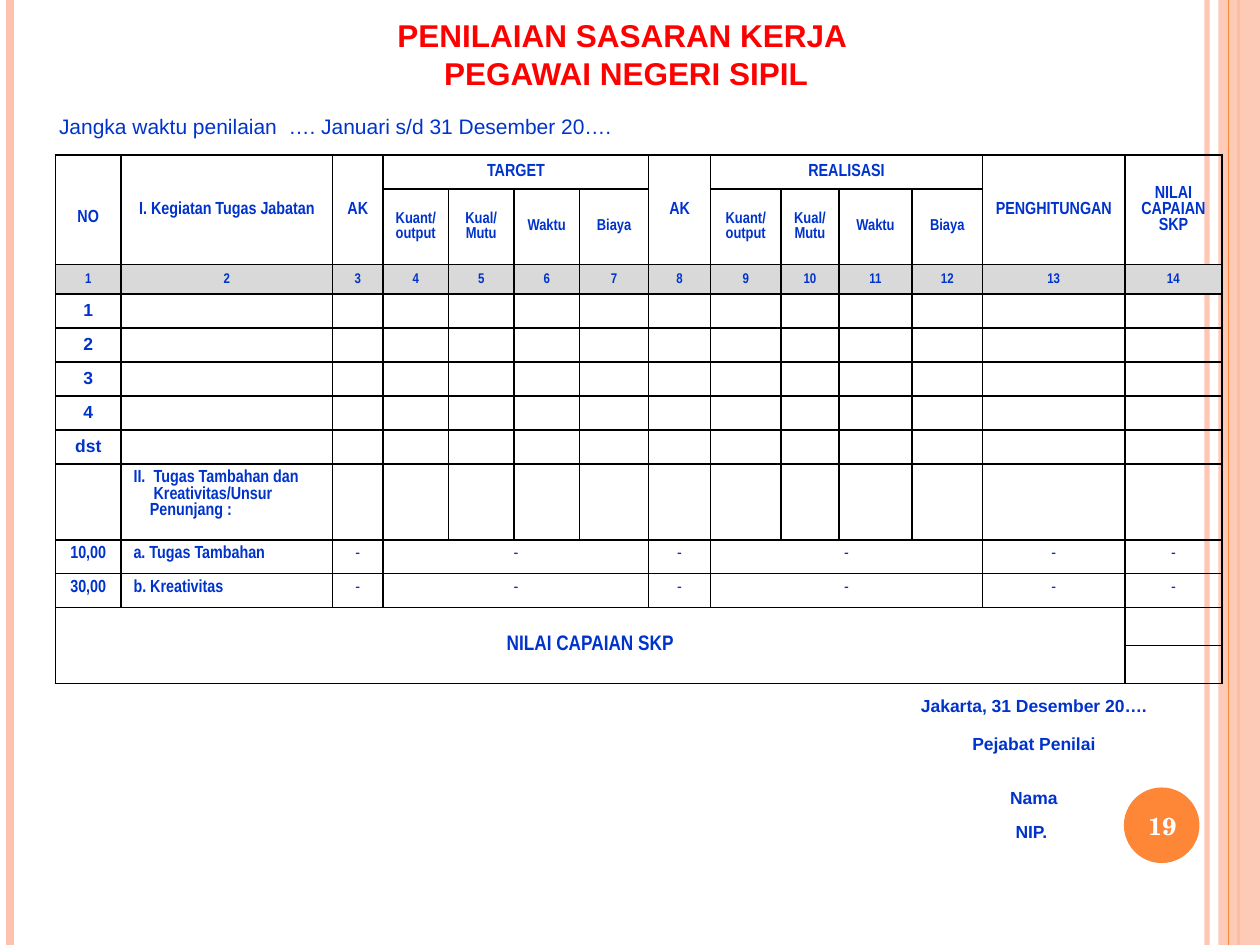
import dataclasses

import lxml.etree
import pptx
import pptx.dml.color
import pptx.enum.shapes
import pptx.enum.text
import pptx.oxml.ns
import pptx.util

ALIGN = pptx.enum.text.PP_ALIGN
MIDDLE = pptx.enum.text.MSO_ANCHOR.MIDDLE
TOP = pptx.enum.text.MSO_ANCHOR.TOP
SHAPE = pptx.enum.shapes.MSO_SHAPE
GRID_COLUMNS, GRID_ROWS = 100, 75
PLAIN_TABLE = "{2D5ABB26-0587-4C30-8999-92F81FD0307C}"


@dataclasses.dataclass(frozen=True)
class Theme:
    """Colours, fonts and type sizes of the slide."""
    blue: str = "0033CC"
    red: str = "FF0000"
    orange: str = "FE8637"
    peach: str = "FEC3AE"
    gray: str = "D9D9D9"
    white: str = "FFFFFF"
    black: str = "000000"
    sans: str = "Arial"
    narrow: str = "Arial Narrow"
    serif: str = "TeX Gyre Schola"
    title: int = 18
    page: int = 14
    large: int = 12
    body: int = 10
    label: int = 9
    number: int = 8


THEME = Theme()


def grid(units):
    """Turn grid units, ten to the inch, into a length."""
    return pptx.util.Inches(units / 10)


def rgb(color):
    """Turn a hex string into a colour."""
    return pptx.dml.color.RGBColor.from_string(color)


def add_node(parent, tag, **attributes):
    """Append a drawing element with attributes."""
    return lxml.etree.SubElement(parent, pptx.oxml.ns.qn(tag), **attributes)


def paint(fill, color, opacity=100):
    """Fill with one colour at an opacity in percent."""
    fill.solid()
    fill.fore_color.rgb = rgb(color)
    if opacity < 100:
        choice = fill._xPr.find(".//" + pptx.oxml.ns.qn("a:srgbClr"))
        add_node(choice, "a:alpha", val=str(opacity * 1000))


def write(frame, text, font=THEME.sans, size=THEME.body, color=THEME.blue, bold=True,
          align=ALIGN.CENTER, hanging=None, indents=()):
    """Write one paragraph for each line of text."""
    for index, line in enumerate(text.split("\n")):
        paragraph = frame.paragraphs[0] if index == 0 else frame.add_paragraph()
        paragraph.alignment = align
        if indents:
            properties = paragraph._p.get_or_add_pPr()
            properties.set("marL", str(grid(indents[index])))
            properties.set("indent", str(-grid(indents[index]) if index == hanging else 0))
        run = paragraph.add_run()
        run.text = line
        run.font.name, run.font.size, run.font.bold = font, pptx.util.Pt(size), bold
        run.font.color.rgb = rgb(color)


def add_stripe(slide, column, color, width, opacity=100):
    """Draw a line down the whole slide."""
    line = slide.shapes.add_connector(pptx.enum.shapes.MSO_CONNECTOR.STRAIGHT,
                                      grid(column), 0, grid(column), grid(GRID_ROWS))
    line.line.width = pptx.util.Pt(width)
    paint(line.line.fill, color, opacity)
    add_node(line._element.spPr, "a:effectLst")


def add_block(slide, kind, box, color, opacity=100):
    """Draw a filled shape without outline."""
    shape = slide.shapes.add_shape(kind, *map(grid, box))
    shape.shadow.inherit = False
    shape.line.fill.background()
    paint(shape.fill, color, opacity)


def add_text(slide, box, text, wrap=True, anchor=TOP, **form):
    """Place a text box."""
    frame = slide.shapes.add_textbox(*map(grid, box)).text_frame
    frame.word_wrap = wrap
    frame.vertical_anchor = anchor
    write(frame, text, **form)


def add_border(cell):
    """Draw a thin black line on the four sides of a cell."""
    for side in "LRTB":
        line = add_node(cell._tc.get_or_add_tcPr(), "a:ln" + side, w=str(pptx.util.Pt(1)))
        add_node(add_node(line, "a:solidFill"), "a:srgbClr", val=THEME.black)


def add_table(slide, left, top, widths, heights, bordered=False):
    """Add a plain table whose empty cells keep the body size."""
    table = slide.shapes.add_table(len(heights), len(widths), grid(left), grid(top),
                                   grid(sum(widths)), grid(sum(heights))).table
    table.first_row = table.horz_banding = False
    table._tbl.tblPr.find(pptx.oxml.ns.qn("a:tableStyleId")).text = PLAIN_TABLE
    for column, width in zip(table.columns, widths):
        column.width = grid(width)
    for row, height in zip(table.rows, heights):
        row.height = grid(height)
    for cell in table.iter_cells():
        if bordered:
            add_border(cell)
        cell.fill.background()
        add_node(cell.text_frame.paragraphs[0]._p, "a:endParaRPr", sz=str(THEME.body * 100))
    return table


def put(table, row, column, text, rows=1, columns=1, anchor=TOP, font=THEME.narrow, **form):
    """Write a cell, merged over the given rows and columns."""
    cell = table.cell(row, column)
    if rows * columns > 1:
        cell.merge(table.cell(row + rows - 1, column + columns - 1))
    cell.vertical_anchor = anchor
    write(cell.text_frame, text, font=font, **form)
    return cell


def fill_header(table):
    """Write the two heading rows and the numbered row."""
    headings = {0: "NO", 1: "I. Kegiatan Tugas Jabatan", 2: "AK", 7: "AK",
                12: "PENGHITUNGAN", 13: "NILAI\nCAPAIAN\nSKP"}
    for column, text in headings.items():
        put(table, 0, column, text, rows=2, anchor=MIDDLE)
    table.cell(0, 0).margin_top = grid(1.8)
    groups = {3: ("TARGET", "Kuant/output"), 8: ("REALISASI", "Kuant/ output")}
    for start, (group, output) in groups.items():
        put(table, 0, start, group, columns=4, anchor=MIDDLE)
        for offset, text in enumerate((output, "Kual/ Mutu", "Waktu", "Biaya")):
            put(table, 1, start + offset, text, anchor=MIDDLE, size=THEME.label)
    for column in range(len(table.columns)):
        cell = put(table, 2, column, str(column + 1), anchor=MIDDLE, size=THEME.number)
        paint(cell.fill, THEME.gray)


def fill_body(table):
    """Write the task rows, the extra tasks and the total."""
    for row, text in enumerate(("1", "2", "3", "4", "dst"), start=3):
        put(table, row, 0, text, font=THEME.sans)
    put(table, 8, 1, "II.\tTugas Tambahan dan\nKreativitas/Unsur\nPenunjang :",
        align=ALIGN.LEFT, hanging=0, indents=(1.6, 1.6, 1.3))
    extras = (("10,00", "a. Tugas Tambahan"), ("30,00", "b. Kreativitas"))
    for row, (number, task) in enumerate(extras, start=9):
        put(table, row, 0, number)
        put(table, row, 1, task, align=ALIGN.LEFT)
        for column, span in ((2, 1), (3, 4), (7, 1), (8, 4), (12, 1), (13, 1)):
            put(table, row, column, "-", columns=span, bold=False)
    put(table, 11, 0, "NILAI CAPAIAN SKP", rows=2, columns=13, anchor=MIDDLE,
        size=THEME.large)


def add_signature(slide):
    """Place the signature lines in a table without borders."""
    table = add_table(slide, 33.3, 54.8, (35, 27.5), (3, 4.3, 2.7, 2.7))
    for row, text in enumerate(("Jakarta, 31 Desember 20….", "Pejabat Penilai", "Nama", "NIP. ")):
        put(table, row, 1, text, font=THEME.sans)


def add_decoration(slide):
    """Draw the side stripes and the page number."""
    add_stripe(slide, 95.8, THEME.peach, 3, 93)
    add_stripe(slide, 0.8, THEME.peach, 4.5)
    add_stripe(slide, 98.3, THEME.orange, 1.5)
    add_block(slide, SHAPE.RECTANGLE, (96.7, 0, 3.3, GRID_ROWS), THEME.peach, 87)
    add_stripe(slide, 97.5, THEME.orange, 0.75)
    add_block(slide, SHAPE.OVAL, (89.2, 62.5, 6, 6), THEME.orange)
    add_text(slide, (88.9, 62.7, 6.7, 5.7), "19", anchor=MIDDLE, font=THEME.serif,
             size=THEME.page, color=THEME.white)


def main():
    """Build the appraisal form slide."""
    presentation = pptx.Presentation()
    presentation.slide_width, presentation.slide_height = grid(GRID_COLUMNS), grid(GRID_ROWS)
    slide = presentation.slides.add_slide(presentation.slide_layouts[6])
    add_decoration(slide)
    add_text(slide, (30.5, 0.8, 38.4, 7), "PENILAIAN SASARAN KERJA \nPEGAWAI NEGERI SIPIL",
             wrap=False, anchor=MIDDLE, size=THEME.title, color=THEME.red)
    widths = (5.2, 16.8, 4, 5.2, 5.2, 5.2, 5.5, 4.9, 5.6, 4.6, 5.8, 5.6, 11.3, 7.7)
    heights = (2.7, 6, 2.3) + (2.7,) * 5 + (6, 2.7, 2.7, 3, 3)
    table = add_table(slide, 4.4, 12.3, widths, heights, bordered=True)
    fill_header(table)
    fill_body(table)
    add_text(slide, (3.7, 8.5, 47.9, 3), "Jangka waktu penilaian  …. Januari s/d 31 Desember 20….",
             size=THEME.large, bold=False, align=ALIGN.LEFT)
    add_signature(slide)
    presentation.save("out.pptx")


if __name__ == "__main__":
    main()
